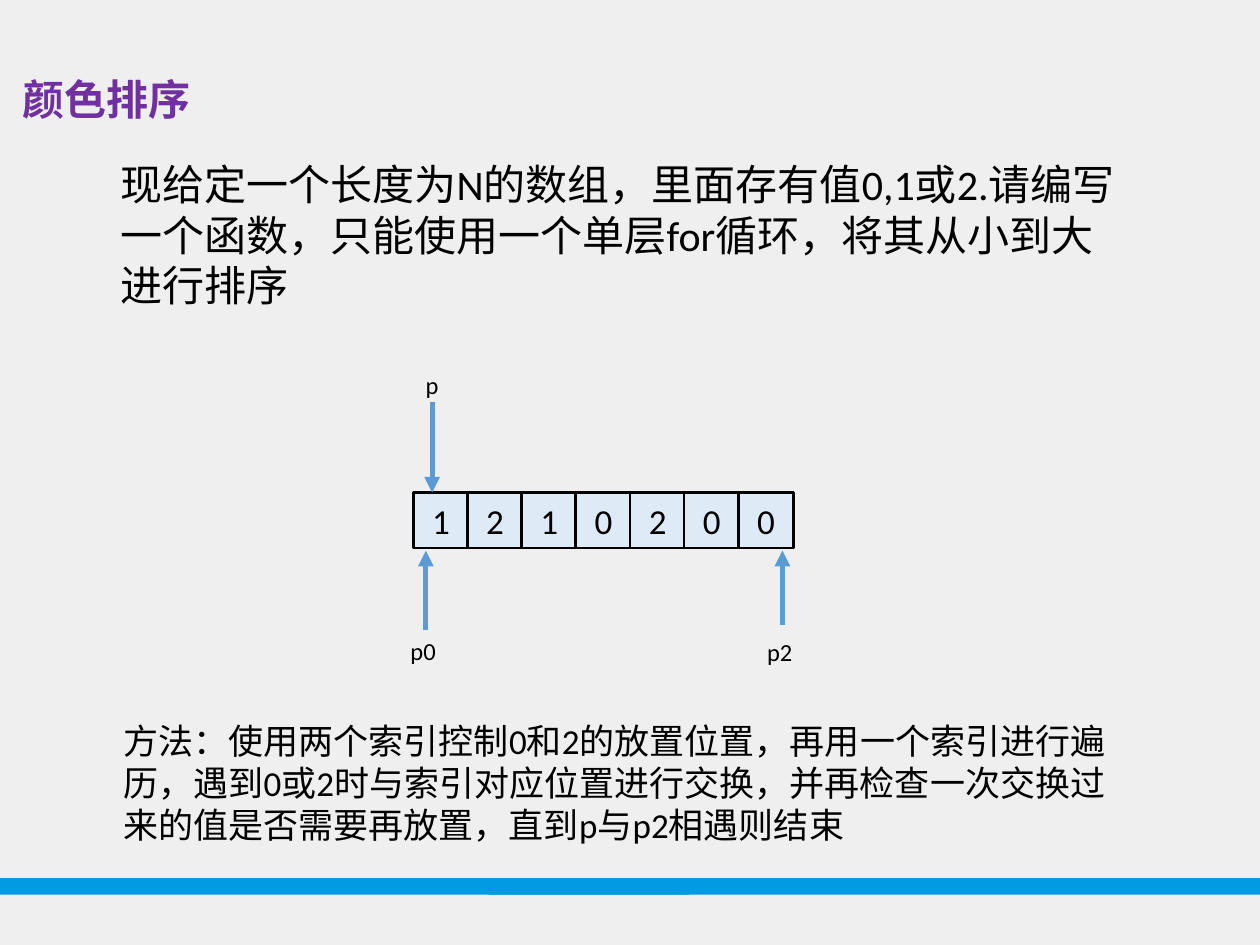
"""Build the colour-sorting slide with its array and three index pointers."""
from dataclasses import dataclass

from lxml import etree
from pptx import Presentation
from pptx.dml.color import RGBColor
from pptx.enum import shapes, text
from pptx.oxml import ns
from pptx.util import Inches, Pt

BACKGROUND = RGBColor(0xEF, 0xEF, 0xEF)
BAR_BLUE = RGBColor(0x00, 0x9B, 0xE1)
TITLE_PURPLE = RGBColor(0x70, 0x30, 0xA0)
CELL_BLUE = RGBColor(0xDE, 0xEB, 0xF7)
ARROW_BLUE = RGBColor(0x5B, 0x9B, 0xD5)
BLACK = RGBColor(0x00, 0x00, 0x00)

ARRAY = (1, 2, 1, 0, 2, 0, 0)
ARRAY_LEFT, ARRAY_TOP = 3.28, 3.91
CELL_SIZE, CELL_PITCH = 0.44, 0.43


@dataclass(frozen=True)
class Box:
    left: float
    top: float
    width: float
    height: float

    def lengths(self) -> tuple:
        return tuple(Inches(v) for v in (self.left, self.top, self.width, self.height))


@dataclass(frozen=True)
class Passage:
    wording: str
    box: Box
    size: int


@dataclass(frozen=True)
class Pointer:
    label: Passage
    x: float
    start: float
    end: float


BARS = (Box(-0.22, 6.97, 5.69, 0.13), Box(3.88, 6.97, 6.27, 0.13))
TITLE = Passage("颜色排序", Box(0.08, 0.53, 1.56, 0.5), 24)
PASSAGES = (
    Passage(
        "现给定一个长度为N的数组，里面存有值0,1或2.请编写一个函数，"
        "只能使用一个单层for循环，将其从小到大进行排序",
        Box(0.86, 1.21, 8.23, 1.31), 24),
    Passage(
        "方法：使用两个索引控制0和2的放置位置，再用一个索引进行遍历，"
        "遇到0或2时与索引对应位置进行交换，并再检查一次交换过来的值"
        "是否需要再放置，直到p与p2相遇则结束",
        Box(0.88, 5.66, 8.23, 1.11), 20),
)
POINTERS = (
    Pointer(Passage("p0", Box(3.16, 5, 0.44, 0.34), 14), 3.38, 5, 4.37),
    Pointer(Passage("p2", Box(5.99, 5.01, 0.44, 0.34), 14), 6.21, 4.96, 4.37),
    Pointer(Passage("p", Box(3.28, 2.89, 0.22, 0.34), 14), 3.43, 3.19, ARRAY_TOP),
)


def write(shape, wording: str, size: int, color: RGBColor = BLACK,
          bold: bool = False, wrap: bool = True,
          align=text.PP_ALIGN.LEFT, anchor=text.MSO_ANCHOR.TOP) -> None:
    frame = shape.text_frame
    frame.text = wording
    paragraph = frame.paragraphs[0]
    paragraph.alignment = align
    frame_format = {"word_wrap": wrap, "vertical_anchor": anchor,
                    "auto_size": text.MSO_AUTO_SIZE.SHAPE_TO_FIT_TEXT}
    for name, value in frame_format.items():
        setattr(frame, name, value)
    font = paragraph.runs[0].font
    for name, value in {"name": "Calibri", "size": Pt(size), "bold": bold}.items():
        setattr(font, name, value)
    font.color.rgb = color


def add_title(slide, passage: Passage) -> None:
    title = slide.shapes.title
    for name, value in zip(("left", "top", "width", "height"), passage.box.lengths()):
        setattr(title, name, value)
    write(title, passage.wording, passage.size, TITLE_PURPLE, bold=True, wrap=False)


def add_passage(slide, passage: Passage) -> None:
    write(slide.shapes.add_textbox(*passage.box.lengths()), passage.wording, passage.size)


def add_rectangle(slide, box: Box, fill: RGBColor):
    rectangle = slide.shapes.add_shape(shapes.MSO_SHAPE.RECTANGLE, *box.lengths())
    rectangle.shadow.inherit = False
    rectangle.fill.solid()
    rectangle.fill.fore_color.rgb = fill
    rectangle.line.fill.background()
    return rectangle


def add_cell(slide, index: int, value: int) -> None:
    left = ARRAY_LEFT + index * CELL_PITCH
    cell = add_rectangle(slide, Box(left, ARRAY_TOP, CELL_SIZE, CELL_SIZE), CELL_BLUE)
    cell.line.color.rgb = BLACK
    cell.line.width = Pt(1.5)
    write(cell, str(value), 20, align=text.PP_ALIGN.CENTER, anchor=text.MSO_ANCHOR.MIDDLE)


def add_pointer(slide, pointer: Pointer) -> None:
    x = Inches(pointer.x)
    arrow = slide.shapes.add_connector(
        shapes.MSO_CONNECTOR.STRAIGHT, x, Inches(pointer.start), x, Inches(pointer.end))
    arrow.line.color.rgb = ARROW_BLUE
    arrow.line.width = Pt(3)
    properties = arrow.element.spPr
    etree.SubElement(properties.find(ns.qn("a:ln")), ns.qn("a:tailEnd"), type="triangle")
    etree.SubElement(properties, ns.qn("a:effectLst"))
    add_passage(slide, pointer.label)


def main() -> None:
    presentation = Presentation()
    presentation.slide_width, presentation.slide_height = Inches(10), Inches(7.5)
    slide = presentation.slides.add_slide(presentation.slide_layouts[5])
    slide.background.fill.solid()
    slide.background.fill.fore_color.rgb = BACKGROUND
    for bar in BARS:
        add_rectangle(slide, bar, BAR_BLUE)
    add_title(slide, TITLE)
    for index, value in enumerate(ARRAY):
        add_cell(slide, index, value)
    for pointer in POINTERS:
        add_pointer(slide, pointer)
    for passage in PASSAGES:
        add_passage(slide, passage)
    presentation.save("out.pptx")


if __name__ == "__main__":
    main()
